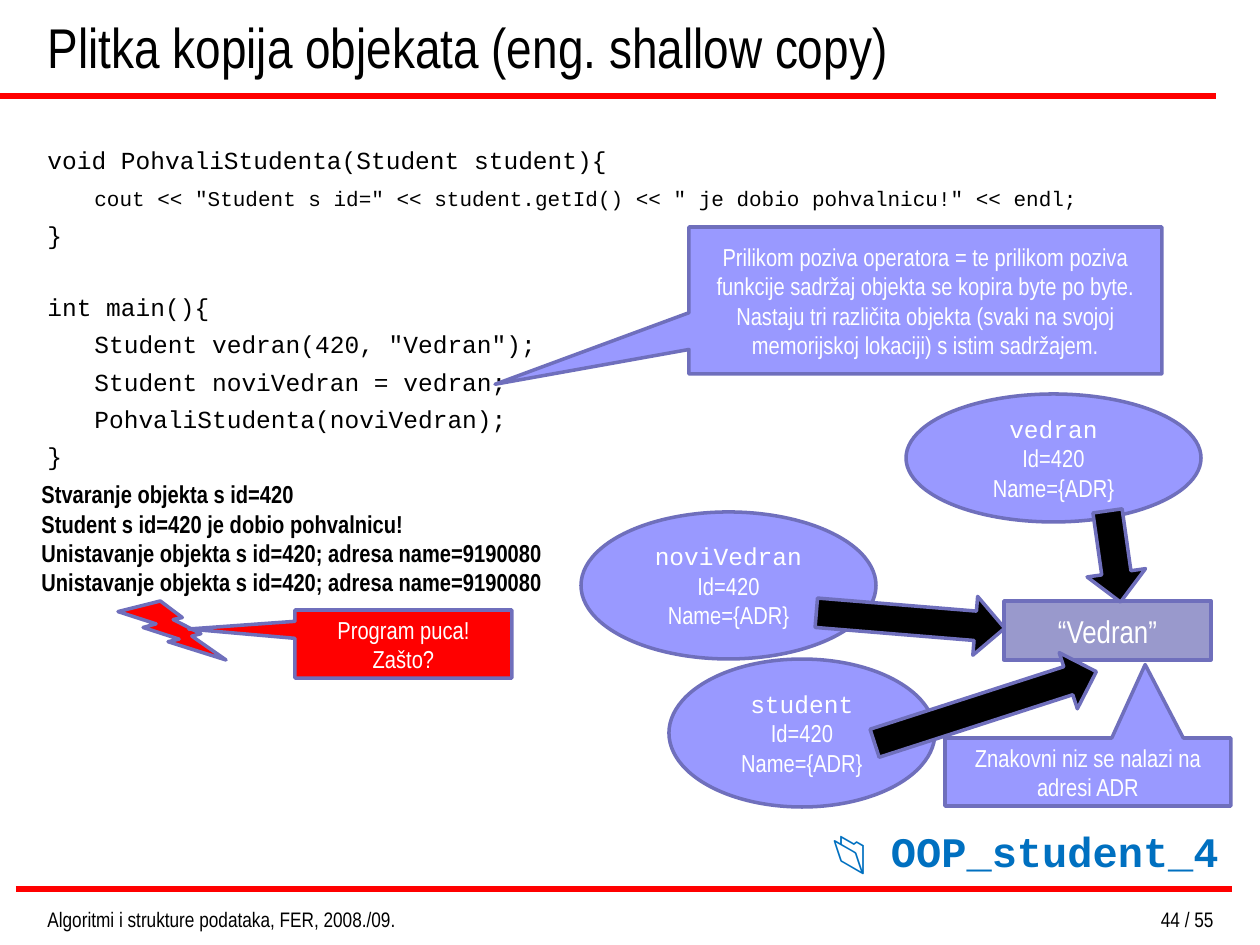
from lxml import etree
from pptx import Presentation
from pptx import util as u
from pptx.dml.color import RGBColor
from pptx.enum import shapes, text
from pptx.oxml.ns import qn

SCALE = 914400 / 126
THEME = {
    "black": "000000", "white": "FFFFFF", "red": "FF0000", "outline": "6F6FBC",
    "lilac": "9999FF", "slate": "9999CC", "blue": "0070C0",
    "narrow": "Arial Narrow", "code": "Courier New", "symbol": "Arial",
    "title": 32, "file": 24, "label": 18, "body": 14, "small": 12,
}
KIND = shapes.MSO_SHAPE

TITLE = "Plitka kopija objekata (eng. shallow copy)"
INDENT = 47
CODE = [
    ("void PohvaliStudenta(Student student){", {}),
    ('cout << "Student s id=" << student.getId() << " je dobio pohvalnicu!" << endl;',
     {"indent": INDENT, "size": "small", "before": 6.3}),
    ("}", {"before": 5.2}),
    ("int main(){", {"before": 24.6}),
    ('Student vedran(420, "Vedran");', {"indent": INDENT, "before": 4.4}),
    ("Student noviVedran = vedran;", {"indent": INDENT, "before": 4.4}),
    ("PohvaliStudenta(noviVedran);", {"indent": INDENT, "before": 4.4}),
    ("}", {"before": 4.4}),
]
DESTROYED = "Unistavanje objekta s id=420; adresa name=9190080"
OUTPUT = ["Stvaranje objekta s id=420", "Student s id=420 je dobio pohvalnicu!",
          DESTROYED, DESTROYED]
FILE_LABEL = [[("📂", {"font": "symbol"}), (" OOP_student_4", {"font": "code"})]]
FOOTER = "Algoritmi i strukture podataka, FER, 2008./09."
PAGE = "44 / 55"

RULES = [(0, 96, 1216), (16, 889, 1232)]
OBJECTS = [
    ("vedran", (906, 394, 295, 128)),
    ("noviVedran", (581, 512, 295, 147)),
    ("student", (669, 659, 266, 148)),
]
FIELDS = ["Id=420", "Name={ADR}"]
STRING = ("“Vedran”", (1004, 601, 207, 59))
ARROWS = [
    ((1068, 527, 92, 59), 81.9),
    ((816, 591, 189, 59), 4.7),
    ((869, 678, 233, 59), 342.1),
]
CALLOUTS = [
    ("Prilikom poziva operatora = te prilikom poziva funkcije sadržaj objekta se "
     "kopira byte po byte. Nastaju tri različita objekta (svaki na svojoj "
     "memorijskoj lokaciji) s istim sadržajem.",
     (689, 227, 473, 147), (-0.91, 0.57), "lilac"),
    ("Znakovni niz se nalazi na adresi ADR",
     (945, 738, 286, 68), (0.2, -1.58), "lilac"),
    ("Program puca! Zašto?", (295, 610, 217, 68), (-0.99, -0.22), "red"),
]
BOLT = (118, 601, 108, 59)


def px(value):
    return u.Emu(round(value * SCALE))


def color(name):
    return RGBColor.from_string(THEME[name])


def write(shape, content, align="LEFT", anchor="TOP", spacing=None, **defaults):
    frame = shape.text_frame
    frame.word_wrap = True
    frame.auto_size = text.MSO_AUTO_SIZE.NONE
    frame.vertical_anchor = text.MSO_ANCHOR[anchor]
    frame.margin_left = frame.margin_right = u.Inches(0.1)
    frame.margin_top = frame.margin_bottom = u.Inches(0.05)
    for index, item in enumerate([content] if isinstance(content, str) else content):
        paragraph = frame.add_paragraph() if index else frame.paragraphs[0]
        paragraph.alignment = text.PP_ALIGN[align]
        if spacing:
            paragraph.line_spacing = spacing
        runs = item if isinstance(item, list) else [item]
        for part in runs:
            words, changes = part if isinstance(part, tuple) else (part, {})
            style = {"font": "narrow", "size": "body", "ink": "black",
                     "bold": False, **defaults, **changes}
            if "before" in style:
                paragraph.space_before = u.Pt(style["before"])
            if "indent" in style:
                paragraph._p.get_or_add_pPr().set("marL", str(px(style["indent"])))
            run = paragraph.add_run()
            run.text = words
            run.font.name = THEME[style["font"]]
            run.font.size = u.Pt(THEME[style["size"]])
            run.font.bold = style["bold"]
            run.font.color.rgb = color(style["ink"])


def add_text(slide, box, content, **style):
    write(slide.shapes.add_textbox(*map(px, box)), content, **style)


def add_shape(slide, kind, box, fill, content=None, **style):
    shape = slide.shapes.add_shape(kind, *map(px, box))
    shape.shadow.inherit = False
    shape.fill.solid()
    shape.fill.fore_color.rgb = color(fill)
    shape.line.color.rgb = color("outline")
    shape.line.width = u.Pt(2)
    if content:
        write(shape, content, align="CENTER", anchor="MIDDLE", ink="white", **style)
    return shape


def add_rule(slide, left, y, right):
    rule = slide.shapes.add_connector(
        shapes.MSO_CONNECTOR.STRAIGHT, px(left), px(y), px(right), px(y))
    rule.line.color.rgb = color("red")
    rule.line.width = u.Pt(3)
    etree.SubElement(rule._element.spPr, qn("a:effectLst"))


def main():
    presentation = Presentation()
    presentation.slide_width, presentation.slide_height = px(1260), px(945)
    slide = presentation.slides.add_slide(presentation.slide_layouts[5])

    for rule in RULES:
        add_rule(slide, *rule)

    title = slide.shapes.title
    title.left, title.top, title.width, title.height = map(px, (35, 0, 1113, 86))
    write(title, TITLE, anchor="BOTTOM", size="title")
    add_text(slide, (35, 139, 1191, 730), CODE, font="code")

    for name, box in OBJECTS:
        add_shape(slide, KIND.OVAL, box, "lilac", [(name, {"font": "code"}), *FIELDS])
    words, box = STRING
    add_shape(slide, KIND.RECTANGLE, box, "slate", words, size="label")
    for box, angle in ARROWS:
        add_shape(slide, KIND.RIGHT_ARROW, box, "black").rotation = angle

    add_shape(slide, KIND.LIGHTNING_BOLT, BOLT, "red")
    for words, box, tip, fill in CALLOUTS:
        callout = add_shape(slide, KIND.RECTANGULAR_CALLOUT, box, fill, words)
        callout.adjustments[0], callout.adjustments[1] = tip

    add_text(slide, (29, 473, 659, 131), OUTPUT, bold=True)
    add_text(slide, (136, 829, 1095, 53), FILE_LABEL, align="RIGHT", spacing=0.8,
             size="file", ink="blue", bold=True)
    add_text(slide, (35, 900, 440, 30), FOOTER, size="small")
    add_text(slide, (903, 900, 323, 30), PAGE, align="RIGHT", size="small")
    presentation.save("out.pptx")


if __name__ == "__main__":
    main()
